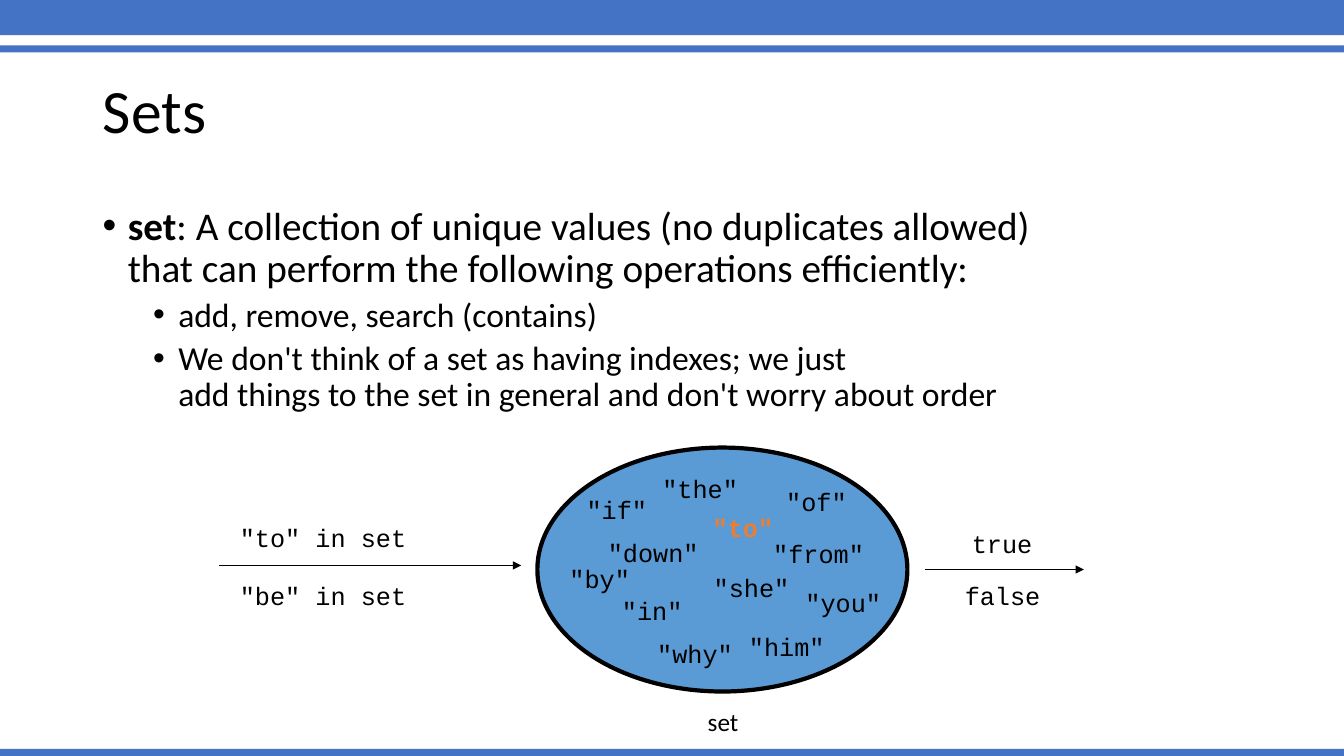
from lxml.etree import SubElement
from pptx import Presentation
from pptx.dml.color import RGBColor
from pptx.enum.shapes import MSO_CONNECTOR, MSO_SHAPE
from pptx.enum.text import MSO_ANCHOR, MSO_AUTO_SIZE, PP_ALIGN
from pptx.oxml.ns import qn
from pptx.util import Emu, Pt

PX = 9144  # 100 px to the inch
SLIDE_WIDTH, SLIDE_HEIGHT = 1333, 750
COLORS = {"bar": "4472C4", "set": "5B9BD5", "text": "000000", "found": "ED7D31"}
BODY_FONT, CODE_FONT = "Calibri", "Courier New"

BULLETS = [
    (0, [("set", True),
         (": A collection of unique values (no duplicates allowed)\n"
          "that can perform the following operations efficiently:", False)]),
    (1, [("add, remove, search (contains)", False)]),
    (1, [("We don't think of a set as having indexes; we just \n"
          "add things to the set in general and don't worry about order", False)]),
]
# Bullet level: font size, indent in px, space before in points
LEVELS = [(28, 25, 10), (24, 75, 5)]

# Word and its offset from the top left of the ellipse
SET_WORDS = [
    ("the", 114, 21), ("of", 237, 34), ("from", 224, 85), ("to", 164, 59),
    ("she", 165, 119), ("you", 256, 134), ("him", 200, 177), ("why", 109, 184),
    ("in", 74, 142), ("down", 60, 84), ("by", 22, 110), ("if", 39, 42),
]


def px(*lengths):
    return [Emu(length * PX) for length in lengths]


def color(name):
    return RGBColor.from_string(COLORS[name])


def set_font(paragraph, name, size, color_name="text", bold=None):
    font = paragraph.font
    font.name, font.size, font.bold = name, Pt(size), bold
    font.color.rgb = color(color_name)


def add_filled(slide, kind, box, fill):
    shape = slide.shapes.add_shape(kind, *px(*box))
    shape.shadow.inherit = False
    shape.fill.solid()
    shape.fill.fore_color.rgb = color(fill)
    shape.line.fill.background()
    return shape


def add_label(slide, text, left, top, width=None, name=CODE_FONT, **style):
    """Add one line of text; by default the box fits 15 px per letter."""
    width = width or 15 * len(text) + 20
    label = slide.shapes.add_textbox(*px(left, top, width, 40))
    frame = label.text_frame
    frame.word_wrap = False
    frame.auto_size = MSO_AUTO_SIZE.SHAPE_TO_FIT_TEXT
    paragraph = frame.paragraphs[0]
    paragraph.text = text
    set_font(paragraph, name, 18, **style)


def add_arrow(slide, left, y, length):
    arrow = slide.shapes.add_connector(
        MSO_CONNECTOR.STRAIGHT, *px(left, y, left + length, y))
    arrow.line.color.rgb = color("text")
    arrow.line.width = Pt(0.75)
    SubElement(arrow.line._get_or_add_ln(), qn("a:tailEnd"), type="triangle")
    SubElement(arrow._element.spPr, qn("a:effectLst"))


def add_bars(slide):
    for top, height in [(-3, 38), (45, 7), (743, 7)]:
        add_filled(slide, MSO_SHAPE.RECTANGLE, (0, top, SLIDE_WIDTH, height), "bar")


def add_title(slide, text, box):
    title = slide.shapes.title
    title.left, title.top, title.width, title.height = px(*box)
    frame = title.text_frame
    frame.auto_size = MSO_AUTO_SIZE.NONE
    frame.vertical_anchor = MSO_ANCHOR.MIDDLE
    paragraph = frame.paragraphs[0]
    paragraph.text = text
    paragraph.alignment = PP_ALIGN.LEFT
    paragraph.line_spacing = 0.9
    set_font(paragraph, BODY_FONT, 44)


def add_runs(paragraph, text, bold):
    for index, line in enumerate(text.split("\n")):
        if index:
            paragraph.add_line_break()
        run = paragraph.add_run()
        run.text = line
        run.font.bold = bold


def add_bullets(slide, bullets, box):
    frame = slide.shapes.add_textbox(*px(*box)).text_frame
    frame.word_wrap = True
    for index, (level, runs) in enumerate(bullets):
        paragraph = frame.add_paragraph() if index else frame.paragraphs[0]
        size, indent, space_before = LEVELS[level]
        paragraph.level = level
        paragraph.line_spacing = 0.9
        paragraph.space_before = Pt(space_before)
        set_font(paragraph, BODY_FONT, size)
        for text, bold in runs:
            add_runs(paragraph, text, bold)
        properties = paragraph._p.get_or_add_pPr()
        properties.set("marL", str(indent * PX))
        properties.set("indent", str(-25 * PX))
        # The bullet must come before the default run properties
        bullet_font = SubElement(properties, qn("a:buFont"), typeface="Arial")
        bullet = SubElement(properties, qn("a:buChar"), char="•")
        defaults = properties.find(qn("a:defRPr"))
        defaults.addprevious(bullet_font)
        defaults.addprevious(bullet)


def add_queries(slide, left, top):
    add_arrow(slide, left, top + 48, 300)
    add_label(slide, '"to" in set', left + 11, top)
    add_label(slide, '"be" in set', left + 11, top + 58)


def add_answers(slide, left, top):
    add_arrow(slide, left, top + 46, 158)
    add_label(slide, "true", left + 37, top)
    add_label(slide, "false", left + 30, top + 52)


def add_word_set(slide, box):
    left, top, width, height = box
    ellipse = add_filled(slide, MSO_SHAPE.OVAL, box, "set")
    ellipse.line.color.rgb = color("text")
    ellipse.line.width = Pt(3)
    for word, x, y in SET_WORDS:
        found = word == "to"
        add_label(slide, f'"{word}"', left + x, top + y,
                  color_name="found" if found else "text", bold=found)
    add_label(slide, "set", left + (width - 51) // 2 + 1, top + height + 10,
              width=51, name=BODY_FONT)


def main():
    presentation = Presentation()
    presentation.slide_width, presentation.slide_height = px(SLIDE_WIDTH, SLIDE_HEIGHT)
    title_only = presentation.slide_layouts.get_by_name("Title Only")
    slide = presentation.slides.add_slide(title_only)
    add_bars(slide)
    add_title(slide, "Sets", (92, 40, 1150, 145))
    add_bullets(slide, BULLETS, (92, 200, 1150, 476))
    add_queries(slide, 217, 513)
    add_word_set(slide, (533, 444, 367, 242))
    add_answers(slide, 917, 519)
    presentation.save("out.pptx")


if __name__ == "__main__":
    main()
